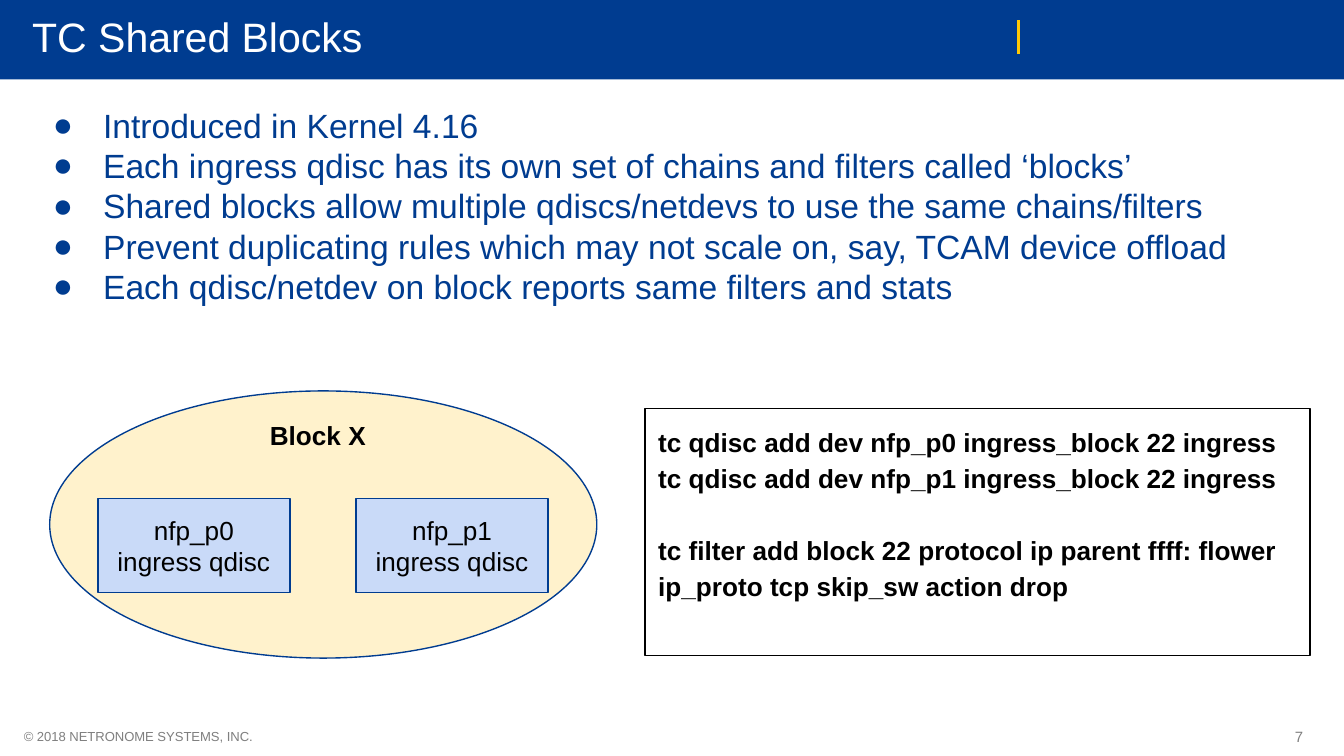
import pptx
import pptx.util
import pptx.dml.color
import pptx.enum.shapes
import pptx.enum.text
import pptx.oxml.ns
import lxml.etree

Cm = pptx.util.Cm
Pt = pptx.util.Pt
SHAPE = pptx.enum.shapes.MSO_SHAPE
ANCHOR = pptx.enum.text.MSO_ANCHOR
ALIGN = pptx.enum.text.PP_ALIGN
qn = pptx.oxml.ns.qn

BLUE = "003C90"
BLACK = "000000"
GREY = "7F7F7F"


def color(hex_string):
    return pptx.dml.color.RGBColor.from_string(hex_string)


def add_box(left, top, width, height, lines=(), size=14, text_color=BLACK, bold=False,
            preset=None, fill=None, line=None, anchor=ANCHOR.TOP, align=ALIGN.LEFT, inset=0.25):
    """Add a text box, or a preset shape, with one paragraph per line of text."""
    place = Cm(left), Cm(top), Cm(width), Cm(height)
    if preset is None:
        shape = slide.shapes.add_textbox(*place)
    else:
        shape = slide.shapes.add_shape(preset, *place)
        shape.shadow.inherit = False
        if fill:
            shape.fill.solid()
            shape.fill.fore_color.rgb = color(fill)
        else:
            shape.fill.background()
        if line:
            shape.line.color.rgb = color(line)
            shape.line.width = Pt(0.75)
        else:
            shape.line.fill.background()
    frame = shape.text_frame
    frame.word_wrap = True
    frame.vertical_anchor = anchor
    frame.margin_left = frame.margin_right = Cm(0.25)
    frame.margin_top = frame.margin_bottom = Cm(inset)
    for index, text in enumerate(lines):
        paragraph = frame.add_paragraph() if index else frame.paragraphs[0]
        paragraph.alignment = align
        for number, part in enumerate(text.split("\n")):
            if number:
                paragraph.add_line_break()
            run = paragraph.add_run()
            run.text = part
            run.font.name = "Arial"
            run.font.size = Pt(size)
            run.font.bold = bold
            run.font.color.rgb = color(text_color)
    return shape


presentation = pptx.Presentation()
presentation.slide_width = Cm(25.4)
presentation.slide_height = Cm(14.29)
slide = presentation.slides.add_slide(presentation.slide_layouts[6])

# Header bar with title and accent line
add_box(0, 0, 25.4, 1.5, preset=SHAPE.RECTANGLE, fill=BLUE)
title = add_box(0.36, 0, 18.49, 1.5, ["TC Shared Blocks"], 22, "FFFFFF",
                anchor=ANCHOR.MIDDLE, inset=0.13)
title.text_frame.paragraphs[0].line_spacing = 0.85
accent = slide.shapes.add_connector(pptx.enum.shapes.MSO_CONNECTOR.STRAIGHT,
                                    Cm(19.25), Cm(0.38), Cm(19.25), Cm(1.02))
accent.line.color.rgb = color("FFC804")
accent.line.width = Pt(1.5)
lxml.etree.SubElement(accent._element.spPr, qn("a:effectLst"))

# Footer
add_box(0.2, 13.54, 5.08, 0.76, ["© 2018 NETRONOME SYSTEMS, INC."], 7, GREY,
        anchor=ANCHOR.MIDDLE, inset=0.13)
add_box(24.13, 13.54, 0.84, 0.76, ["7"], 8, GREY,
        anchor=ANCHOR.MIDDLE, align=ALIGN.CENTER, inset=0.13)

# Bullet list
bullets = add_box(0.43, 1.85, 24.33, 4.67, [
    "Introduced in Kernel 4.16",
    "Each ingress qdisc has its own set of chains and filters called ‘blocks’",
    "Shared blocks allow multiple qdiscs/netdevs to use the same chains/filters",
    "Prevent duplicating rules which may not scale on, say, TCAM device offload",
    "Each qdisc/netdev on block reports same filters and stats",
], 18, BLUE, inset=0.13)
for paragraph in bullets.text_frame.paragraphs:
    properties = paragraph._p.get_or_add_pPr()
    properties.set("marL", str(Cm(1.27)))
    properties.set("indent", str(-Cm(0.95)))
    bullet_color = lxml.etree.SubElement(properties, qn("a:buClr"))
    lxml.etree.SubElement(bullet_color, qn("a:srgbClr"), val=BLUE)
    lxml.etree.SubElement(properties, qn("a:buFont"), typeface="Arial")
    lxml.etree.SubElement(properties, qn("a:buChar"), char="●")

# Shared block holding two qdiscs
add_box(0.94, 7.39, 10.34, 5.05, preset=SHAPE.OVAL, fill="FFF2CC", line=BLUE)
add_box(4.85, 7.67, 2.57, 1.4, ["Block X"], bold=True)
for left, device in ((1.85, "nfp_p0"), (6.73, "nfp_p1")):
    add_box(left, 9.42, 3.63, 1.78, [device + "\ningress qdisc"], preset=SHAPE.RECTANGLE,
            fill="C9DAF8", line=BLUE, anchor=ANCHOR.MIDDLE, align=ALIGN.CENTER)

# Commands, with a gap before the filter rule
commands = add_box(12.19, 7.72, 12.57, 4.67, [
    "tc qdisc add dev nfp_p0 ingress_block 22 ingress",
    "tc qdisc add dev nfp_p1 ingress_block 22 ingress",
    "tc filter add block 22 protocol ip parent ffff: flower ip_proto tcp skip_sw action drop",
], bold=True, preset=SHAPE.RECTANGLE, line=BLACK)
for paragraph in commands.text_frame.paragraphs:
    paragraph.line_spacing = 1.15
commands.text_frame.paragraphs[2].space_before = Pt(19.3)

presentation.save("out.pptx")
